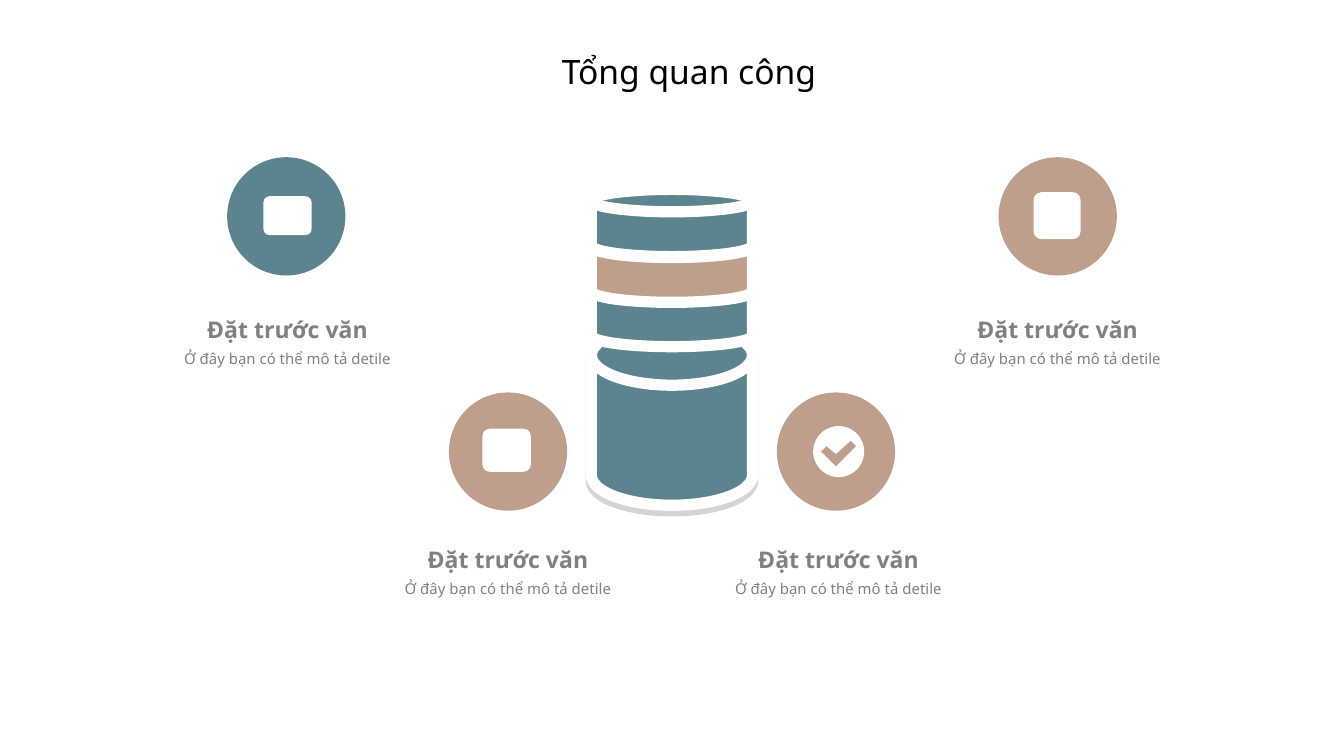
import pptx
import pptx.dml.color
import pptx.enum.shapes
import pptx.enum.text
import pptx.oxml
import pptx.oxml.ns
import pptx.util

Inches, Pt = pptx.util.Inches, pptx.util.Pt
RGBColor = pptx.dml.color.RGBColor
MSO_SHAPE = pptx.enum.shapes.MSO_SHAPE
MSO_ANCHOR = pptx.enum.text.MSO_ANCHOR
PP_ALIGN = pptx.enum.text.PP_ALIGN

TEAL = RGBColor(0x5C, 0x84, 0x8E)
TAN = RGBColor(0xBF, 0x9F, 0x8B)
GRAY = RGBColor(0x80, 0x80, 0x80)
WHITE = RGBColor(0xFF, 0xFF, 0xFF)
BLACK = RGBColor(0, 0, 0)
FONT = "Noto Sans"

prs = pptx.Presentation()
prs.slide_width = Inches(10)
prs.slide_height = prs.slide_width * 9 // 16
s = prs.slides.add_slide(prs.slide_layouts[5])


def add_filled(kind, x, y, w, h, color):
    sp = s.shapes.add_shape(kind, Inches(x), Inches(y), Inches(w), Inches(h))
    sp.shadow.inherit = False
    sp.fill.solid()
    sp.fill.fore_color.rgb = color
    sp.line.fill.background()
    return sp


def add_label(text, x, y, h, size, bold):
    sp = s.shapes.add_textbox(Inches(x), Inches(y), Inches(2.02), Inches(h))
    tf = sp.text_frame
    tf.margin_left = tf.margin_right = Inches(0.08)
    tf.margin_top = tf.margin_bottom = 0
    tf.word_wrap = not bold
    tf.text = text
    p = tf.paragraphs[0]
    p.alignment = PP_ALIGN.CENTER
    font = p.runs[0].font
    font.name, font.size, font.bold = FONT, Pt(size), bold
    font.color.rgb = GRAY


# Title
title = s.shapes.title
title.left, title.top = Inches(4.08), Inches(0.33)
title.width, title.height = Inches(2.11), Inches(0.4)
tf = title.text_frame
tf.text = "Tổng quan công"
tf.word_wrap = False
tf.vertical_anchor = MSO_ANCHOR.MIDDLE
p = tf.paragraphs[0]
p.alignment = PP_ALIGN.LEFT
font = p.runs[0].font
font.name, font.size = FONT, Pt(18)
font.color.rgb = BLACK

# Cylinder stack, from the bottom up
disks = []
for y, h, color in [(2.42, 1.34, TEAL), (2.08, 0.5, TEAL),
                    (1.75, 0.5, TAN), (1.41, 0.5, TEAL)]:
    sp = add_filled(MSO_SHAPE.FLOWCHART_MAGNETIC_DISK, 4.4, y, 1.2, h, color)
    sp.line.color.rgb = WHITE
    sp.line.width = Pt(6)
    disks.append(sp)

effects = disks[0]._element.spPr.find(pptx.oxml.ns.qn("a:effectLst"))
effects.append(pptx.oxml.parse_xml(
    f'<a:outerShdw {pptx.oxml.ns.nsdecls("a")} blurRad="0" dist="{Pt(3)}" '
    'dir="5400000" algn="t" rotWithShape="0">'
    '<a:srgbClr val="000000"><a:alpha val="16000"/></a:srgbClr></a:outerShdw>'))

# Items: circle left and top, colour, label left and top, icon kind and box
ROUND, SQUARE = MSO_SHAPE.OVAL, MSO_SHAPE.ROUNDED_RECTANGLE
items = [
    (7.43, 1.17, TAN, 6.86, 2.35, SQUARE, (7.69, 1.43, 0.35, 0.35)),
    (1.69, 1.17, TEAL, 1.13, 2.35, SQUARE, (1.96, 1.46, 0.36, 0.29)),
    (3.34, 2.92, TAN, 2.77, 4.06, SQUARE, (3.59, 3.19, 0.36, 0.32)),
    (5.78, 2.92, TAN, 5.23, 4.06, ROUND, (6.05, 3.17, 0.38, 0.38)),
]
for x, y, color, label_x, label_y, icon, icon_box in items:
    add_filled(ROUND, x, y, 0.88, 0.88, color)
    add_label("Ở đây bạn có thể mô tả detile", label_x, label_y + 0.25, 0.48, 8, False)
    add_label("Đặt trước văn", label_x, label_y, 0.2, 12.3, True)
    add_filled(icon, *icon_box, WHITE)

# Check mark on the round icon
points = [(6.11, 3.36), (6.15, 3.32), (6.22, 3.38),
          (6.33, 3.28), (6.37, 3.32), (6.22, 3.47)]
points = [(Inches(x), Inches(y)) for x, y in points]
builder = s.shapes.build_freeform(*points[0])
builder.add_line_segments(points[1:], close=True)
check = builder.convert_to_shape()
check.shadow.inherit = False
check.fill.solid()
check.fill.fore_color.rgb = TAN
check.line.fill.background()

prs.save("out.pptx")
